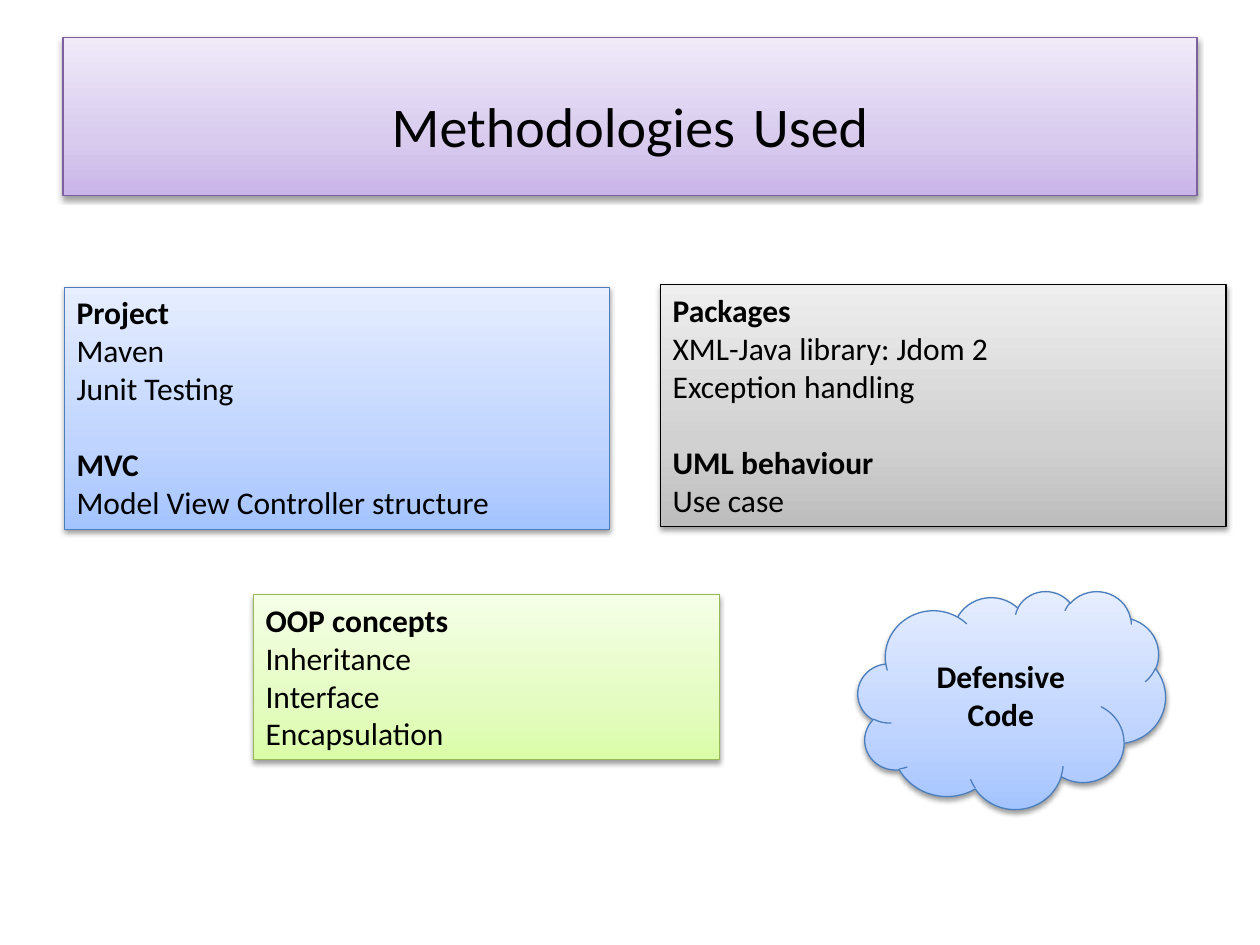
from dataclasses import dataclass

from lxml.etree import SubElement
from pptx import Presentation
from pptx.dml.color import RGBColor
from pptx.enum.shapes import MSO_SHAPE as Preset
from pptx.enum.text import MSO_ANCHOR as Anchor, MSO_AUTO_SIZE as AutoSize, PP_ALIGN as Align
from pptx.oxml.ns import qn
from pptx.util import Inches, Pt

COLORS = {
    "text": "000000",
    "shadow": "000000",
    "purple_line": "7D60A0",
    "blue_line": "4B7EBC",
    "gray_line": "000000",
    "green_line": "98B955",
}
# Gradient colours from bottom to top
GRADIENTS = {
    "purple": ("C9B5E8", "D8CBEE", "F0EAF9"),
    "blue": ("A4C4FF", "BFD4FF", "E6EEFF"),
    "gray": ("BDBDBD", "D1D1D1", "EEEEEE"),
    "green": ("DAFDA7", "E4FCC2", "F5FFE7"),
}
STOPS = (0, 35, 100)
FONT = "Calibri"
BODY_SIZE = 18
SECTION_GAP = 22


@dataclass
class Section:
    heading: str
    items: tuple[str, ...]


@dataclass
class Panel:
    left: float
    top: float
    width: float
    height: float
    theme: str
    sections: tuple[Section, ...]


PANELS = (
    Panel(0.51, 2.28, 4.33, 1.92, "blue", (
        Section("Project", ("Maven", "Junit Testing")),
        Section("MVC", ("Model View Controller structure",)),
    )),
    Panel(5.24, 2.26, 4.49, 1.92, "gray", (
        Section("Packages", ("XML-Java library: Jdom 2", "Exception handling")),
        Section("UML behaviour", ("Use case",)),
    )),
    Panel(2.01, 4.72, 3.7, 1.31, "green", (
        Section("OOP concepts", ("Inheritance", "Interface", "Encapsulation")),
    )),
)


def add_color(parent, color: str, **attributes: str):
    return SubElement(parent, qn("a:srgbClr"), val=color, **attributes)


def apply_theme(shape, theme: str) -> None:
    """Give the shape a vertical gradient, a thin outline and a soft shadow."""
    shape.fill.gradient()
    gradient = shape._element.spPr.find(qn("a:gradFill"))
    for child in list(gradient):
        gradient.remove(child)
    stop_list = SubElement(gradient, qn("a:gsLst"))
    for position, color in zip(STOPS, GRADIENTS[theme]):
        add_color(SubElement(stop_list, qn("a:gs"), pos=str(position * 1000)), color)
    SubElement(gradient, qn("a:lin"), ang=str(270 * 60000), scaled="0")

    shape.line.color.rgb = RGBColor.from_string(COLORS[f"{theme}_line"])
    shape.line.width = Pt(0.75)

    shape.shadow.inherit = False
    effects = shape._element.spPr.find(qn("a:effectLst"))
    shadow = SubElement(effects, qn("a:outerShdw"), blurRad=str(Pt(3.1)),
                        dist=str(Pt(1.6)), dir=str(90 * 60000), rotWithShape="0")
    SubElement(add_color(shadow, COLORS["shadow"]), qn("a:alpha"), val="38000")


def write_text(paragraph, text: str, *, size: float = BODY_SIZE, bold: bool = False,
               align: Align = Align.LEFT, space_before: float = 0) -> None:
    paragraph.alignment = align
    paragraph.space_before = Pt(space_before)
    run = paragraph.add_run()
    run.text = text
    run.font.name = FONT
    run.font.size = Pt(size)
    run.font.bold = bold
    run.font.color.rgb = RGBColor.from_string(COLORS["text"])


def place(shape, left: float, top: float, width: float, height: float) -> None:
    shape.left, shape.top = Inches(left), Inches(top)
    shape.width, shape.height = Inches(width), Inches(height)


def format_title(title) -> None:
    place(title, 0.5, 0.3, 9, 1.25)
    apply_theme(title, "purple")
    title.text_frame.vertical_anchor = Anchor.MIDDLE
    paragraph = title.text_frame.paragraphs[0]
    for text, size in (("Methodologies", 32), (" ", 44), ("Used", 32)):
        write_text(paragraph, text, size=size, align=Align.CENTER)


def add_panel(slide, panel: Panel) -> None:
    shape = slide.shapes.add_shape(
        Preset.RECTANGLE, Inches(panel.left), Inches(panel.top),
        Inches(panel.width), Inches(panel.height))
    apply_theme(shape, panel.theme)
    frame = shape.text_frame
    frame.word_wrap = True
    frame.auto_size = AutoSize.SHAPE_TO_FIT_TEXT
    frame.vertical_anchor = Anchor.TOP
    for index, section in enumerate(panel.sections):
        heading = frame.add_paragraph() if index else frame.paragraphs[0]
        write_text(heading, section.heading, bold=True,
                   space_before=SECTION_GAP if index else 0)
        for item in section.items:
            write_text(frame.add_paragraph(), item)


def add_cloud(slide, text: str) -> None:
    cloud = slide.shapes.add_shape(
        Preset.CLOUD, Inches(6.81), Inches(4.69), Inches(2.44), Inches(1.73))
    apply_theme(cloud, "blue")
    cloud.text_frame.word_wrap = True
    cloud.text_frame.vertical_anchor = Anchor.MIDDLE
    write_text(cloud.text_frame.paragraphs[0], text, bold=True, align=Align.CENTER)


def main() -> None:
    presentation = Presentation()
    presentation.slide_width, presentation.slide_height = Inches(10), Inches(7.5)
    title_only = presentation.slide_layouts[5]
    slide = presentation.slides.add_slide(title_only)
    format_title(slide.shapes.title)
    for panel in PANELS:
        add_panel(slide, panel)
    add_cloud(slide, "Defensive Code")
    presentation.save("out.pptx")


if __name__ == "__main__":
    main()
